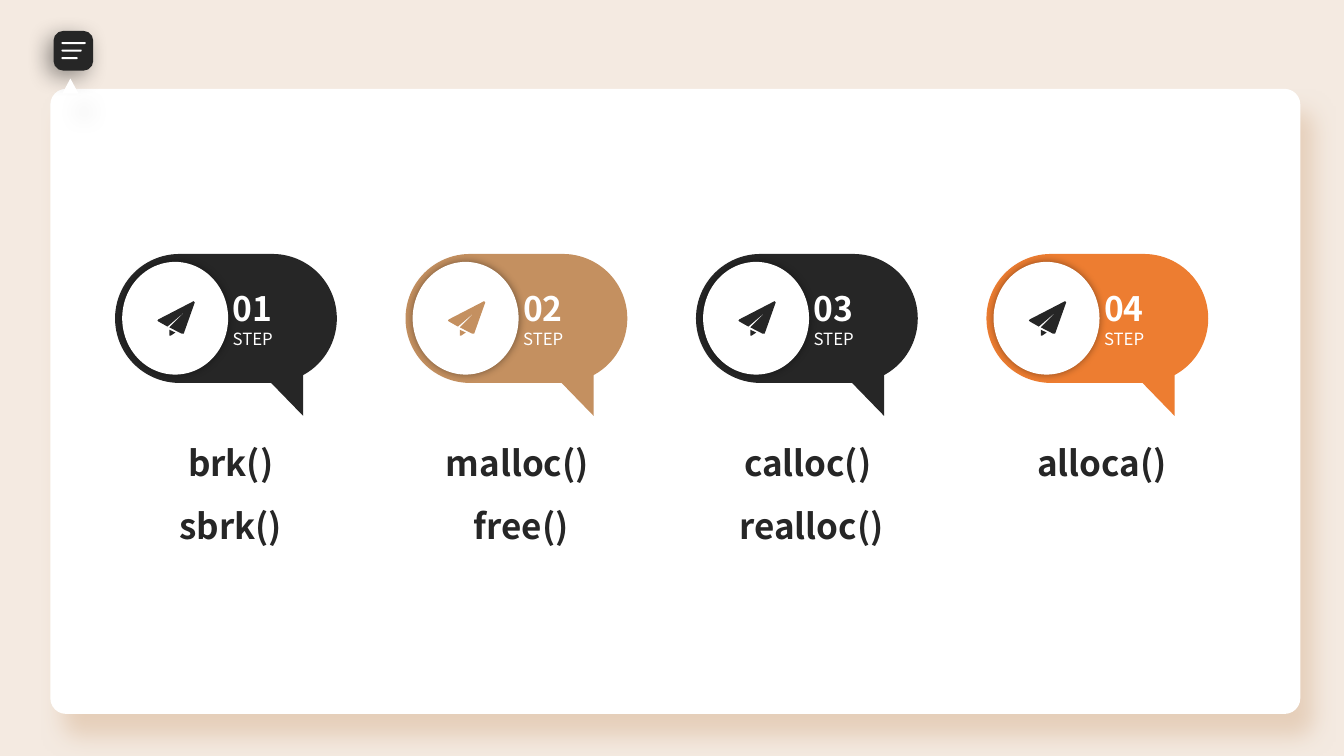
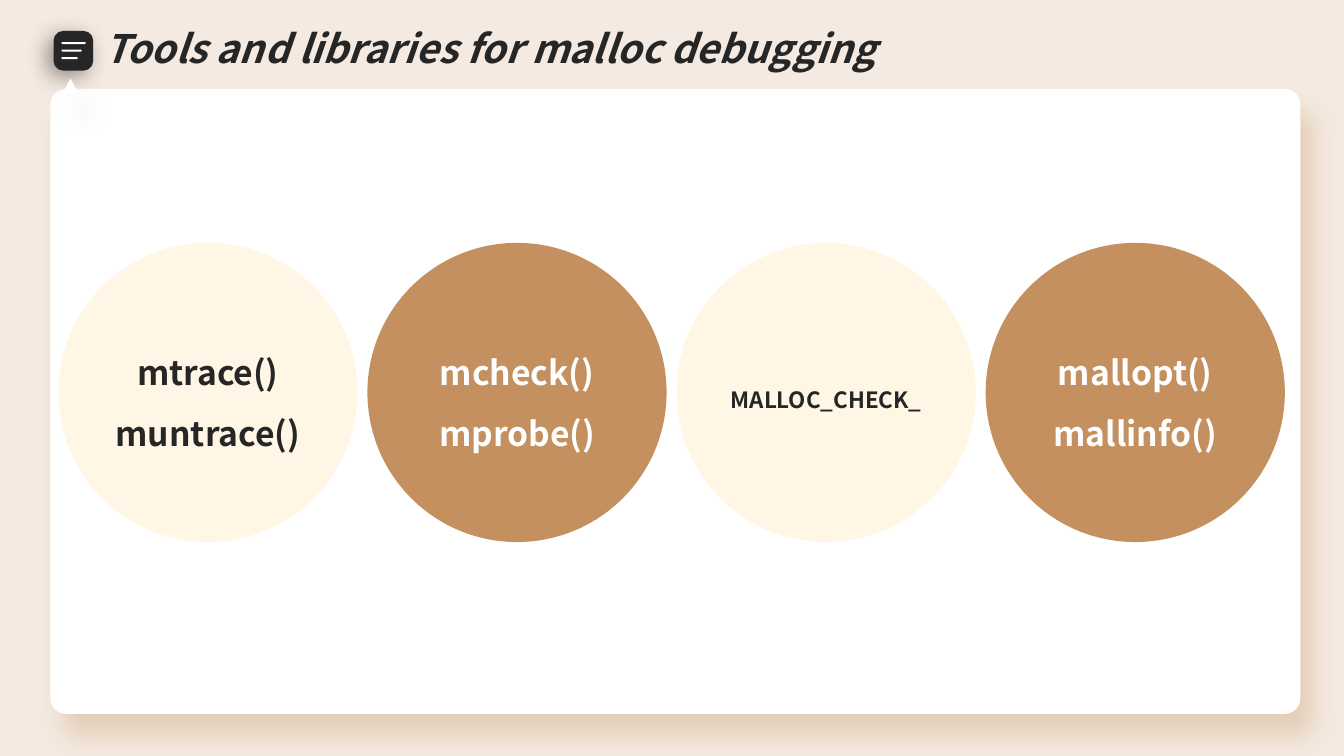
"""Build two slides on the malloc family and its debugging tools."""
from dataclasses import dataclass

from lxml.etree import SubElement
from pptx import Presentation
from pptx.dml.color import RGBColor
from pptx.enum.shapes import MSO_SHAPE
from pptx.enum.text import MSO_ANCHOR, MSO_AUTO_SIZE, PP_ALIGN
from pptx.oxml.ns import qn
from pptx.util import Cm, Pt


@dataclass(frozen=True)
class Theme:
    font: str = "Noto Sans CJK KR"
    sand: RGBColor = RGBColor(0xF4, 0xEA, 0xE1)
    white: RGBColor = RGBColor(0xFF, 0xFF, 0xFF)
    dark: RGBColor = RGBColor(0x26, 0x26, 0x26)
    tan: RGBColor = RGBColor(0xC4, 0x90, 0x60)
    orange: RGBColor = RGBColor(0xED, 0x7D, 0x31)
    cream: RGBColor = RGBColor(0xFF, 0xF6, 0xE5)
    title: int = 28
    label: int = 25
    large: int = 24
    small: int = 16
    step: int = 12


theme = Theme()


def draw(shapes, kind, box, fill, adj=None, shade=None):
    if isinstance(kind, list):
        dots = [(Cm(box[0] + x), Cm(box[1] + y)) for x, y in kind]
        pen = shapes.build_freeform(*dots[0], scale=1.0)
        pen.add_line_segments(dots[1:], close=True)
        shape = pen.convert_to_shape()
    else:
        shape = shapes.add_shape(kind, *map(Cm, box))
    if adj is not None:
        shape.adjustments[0] = adj
    shape.fill.solid()
    shape.fill.fore_color.rgb = fill
    shape.line.fill.background()
    shape.shadow.inherit = False
    if shade:
        tint, alpha, blur, dist, angle = shade
        glow = SubElement(shape._element.spPr.find(qn("a:effectLst")), qn("a:outerShdw"),
                          blurRad=str(Pt(blur)), dist=str(Pt(dist)),
                          dir=str(angle * 60000), algn="ctr", rotWithShape="0")
        color = SubElement(glow, qn("a:srgbClr"), val=tint)
        SubElement(color, qn("a:alpha"), val=str(alpha * 1000))
    return shape


def write(frame, text, size, color, bold=True, slant=False, align=PP_ALIGN.CENTER,
          space=1.0, anchor=MSO_ANCHOR.MIDDLE):
    frame.word_wrap = True
    frame.vertical_anchor = anchor
    for line in text.split("\n"):
        para = frame.paragraphs[0] if not frame.text else frame.add_paragraph()
        para.alignment = align
        para.line_spacing = space
        run = para.add_run()
        run.text = line
        font = run.font
        font.name, font.size, font.color.rgb = theme.font, Pt(size), color
        font.bold, font.italic = bold, slant


deck = Presentation()
deck.slide_width, deck.slide_height = Cm(33.87), Cm(19.05)
back = deck.slide_master.background.fill
back.solid()
back.fore_color.rgb = theme.sand
steps = deck.slides.add_slide(deck.slide_layouts.get_by_name("Blank"))
tools = deck.slides.add_slide(deck.slide_layouts.get_by_name("Title Only"))

ROUND = MSO_SHAPE.ROUNDED_RECTANGLE
for slide in (steps, tools):
    group = slide.shapes.add_group_shape().shapes
    draw(group, ROUND, (1.27, 2.24, 31.5, 15.75), theme.white, 0.025, ("E1C6AD", 75, 16, 19, 60))
    draw(group, ROUND, (1.35, 0.78, 1, 1), theme.dark, 0.242, ("000000", 40, 16, 6, 135))
    for row in range(3):
        draw(group, ROUND, (1.55, 1.06 + 0.19 * row, 0.61 - 0.1 * row, 0.05), theme.white, 0.5)
    draw(group, MSO_SHAPE.ISOSCELES_TRIANGLE, (1.57, 1.98, 0.41, 0.38), theme.white,
         shade=("000000", 11, 16, 19, 60))

wing = [(1.98, 1.19), (2.01, 1.22), (1.73, 2.01), (1.68, 2.01), (1.37, 1.85), (1.8, 1.42),
        (1.32, 1.83), (1.09, 1.7), (1.07, 1.68), (1.09, 1.65)]
fold = [(1.37, 1.91), (1.52, 1.98), (1.4, 2.06), (1.37, 2.06)]
calls = [
    ("brk()\nsbrk()", theme.dark, theme.dark),
    ("malloc() \nfree()", theme.tan, theme.tan),
    ("calloc() \nrealloc()", theme.dark, theme.dark),
    ("alloca()", theme.orange, theme.dark),
]
top = 6.4
for col, (names, fill, ink) in enumerate(calls):
    left = 2.9 + 7.32 * col
    group = steps.shapes.add_group_shape().shapes
    pill = draw(group, ROUND, (left, top, 5.59, 3.25), fill, 0.5)
    frame = pill.text_frame
    frame.margin_left = Cm(2.49)
    write(frame, f"{col + 1:02}", theme.large, theme.white, align=PP_ALIGN.LEFT)
    write(frame, "STEP", theme.step, theme.white, bold=False, align=PP_ALIGN.LEFT)
    draw(group, MSO_SHAPE.OVAL, (left + 0.18, top + 0.2, 2.67, 2.84), theme.white,
         shade=("000000", 40, 6, 0, 0))
    for part in (fold, wing):
        draw(group, part, (left, top), ink)
    tail = draw(group, MSO_SHAPE.RIGHT_TRIANGLE, (left + 3.7, top + 3.01, 1.04, 1.07), fill)
    tail.rotation = 180
    high = 0.25 + 1.5 * len(names.split("\n"))
    label = steps.shapes.add_textbox(Cm(left - 0.77), Cm(10.46), Cm(7.37), Cm(high))
    write(label.text_frame, names, theme.label, theme.dark, space=1.5, anchor=MSO_ANCHOR.TOP)

title = tools.shapes.title
title.left, title.top, title.width, title.height = map(Cm, (2.39, 0.48, 19.94, 1.45))
title.text_frame.auto_size = MSO_AUTO_SIZE.NONE
write(title.text_frame, "Tools and libraries for malloc debugging", theme.title, theme.dark,
      slant=True, align=PP_ALIGN.LEFT)

discs = [
    ("mtrace()\nmuntrace()", theme.large, theme.cream, theme.dark),
    ("mcheck()\nmprobe()", theme.large, theme.tan, theme.white),
    ("MALLOC_CHECK_", theme.small, theme.cream, theme.dark),
    ("mallopt()\nmallinfo()", theme.large, theme.tan, theme.white),
]
for col, (names, size, fill, ink) in enumerate(discs):
    disc = draw(tools.shapes, MSO_SHAPE.OVAL, (1.47 + 7.79 * col, 6.12, 7.54, 7.54), fill)
    write(disc.text_frame, names, size, ink, space=1.5)

deck.save("out.pptx")
